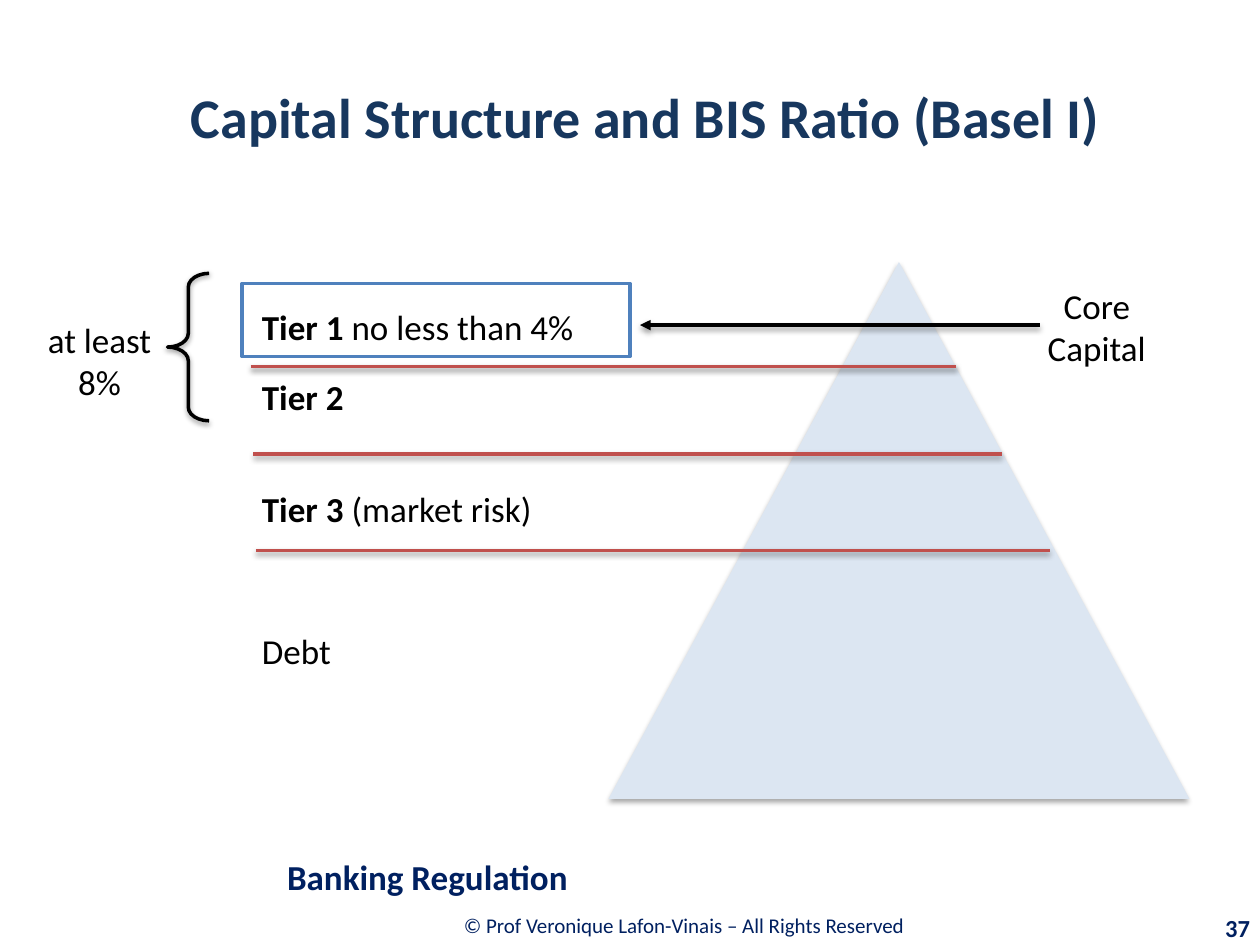
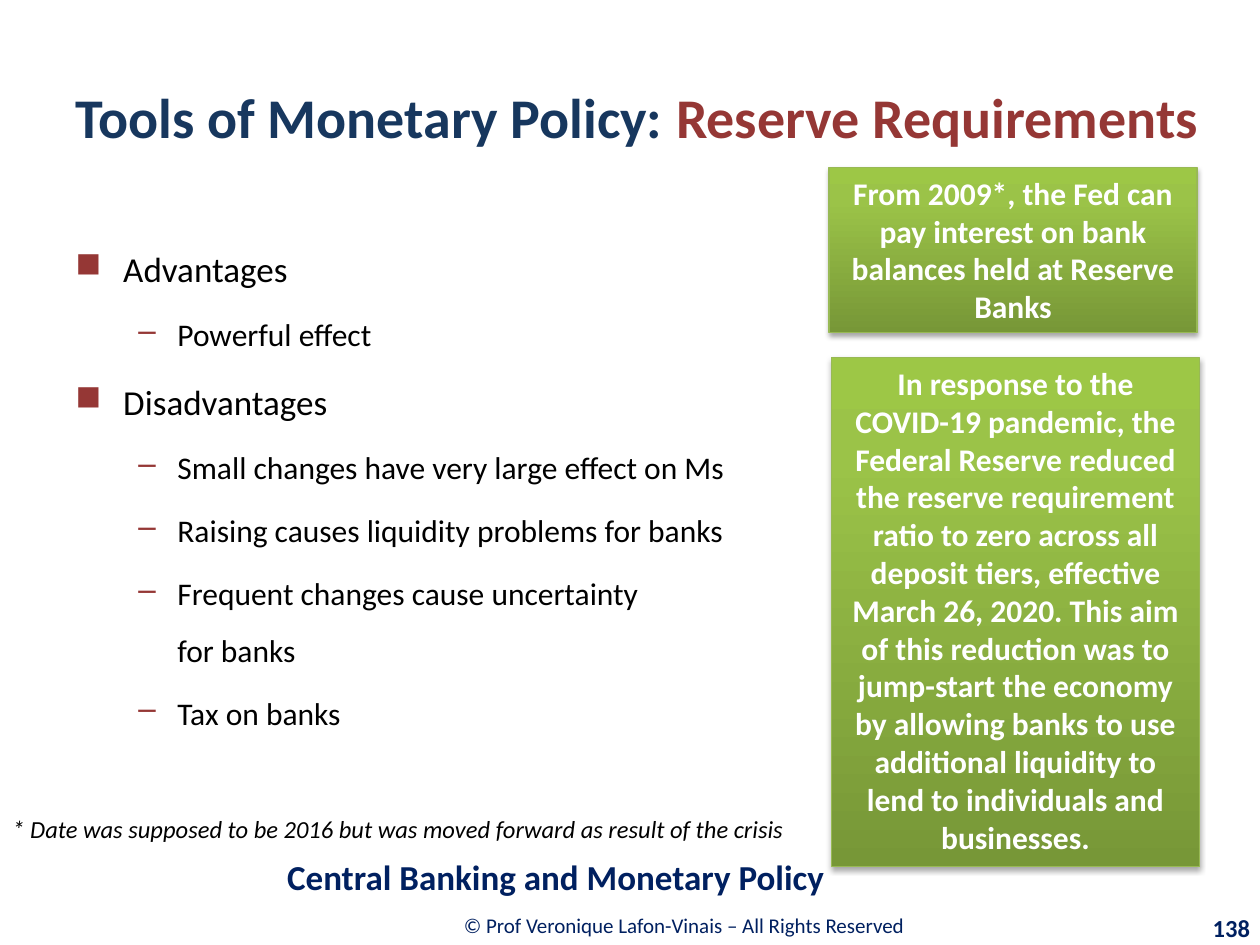
from dataclasses import dataclass
from typing import Optional

from lxml.etree import SubElement
from pptx import Presentation
from pptx.dml.color import RGBColor
from pptx.enum.shapes import MSO_CONNECTOR, MSO_SHAPE
from pptx.enum.text import MSO_ANCHOR, MSO_AUTO_SIZE, PP_ALIGN
from pptx.oxml.ns import qn
from pptx.util import Emu, Inches, Pt


@dataclass(frozen=True)
class Theme:
    font: str = "Calibri"
    title: str = "17375E"
    accent: str = "953735"
    footer: str = "002060"
    ink: str = "000000"
    white: str = "FFFFFF"
    pyramid: str = "DCE6F2"
    divider: str = "C0504D"
    frame: str = "4F81BD"
    callout_line: str = "98B955"
    callout_stops: tuple = ((0, "779737"), (80, "9BC348"), (100, "9DC746"))
    title_size: float = 32
    body_size: float = 20
    detail_size: float = 18
    note_size: float = 14
    copyright_size: float = 12
    line_width: float = 2
    thin_line: float = 0.75


THEME = Theme()

# Grid of 40 columns by 30 rows
WIDTH, HEIGHT = Inches(10), Inches(7.5)
COLUMN, ROW = WIDTH / 40, HEIGHT / 30


@dataclass(frozen=True)
class Box:
    column: float
    row: float
    columns: float
    rows: float

    def lengths(self) -> tuple:
        return (Emu(round(self.column * COLUMN)), Emu(round(self.row * ROW)),
                Emu(round(self.columns * COLUMN)), Emu(round(self.rows * ROW)))


@dataclass(frozen=True)
class Piece:
    text: str
    size: float = THEME.body_size
    color: str = THEME.ink
    bold: bool = False
    italic: bool = False


@dataclass(frozen=True)
class Bullet:
    mark: str
    margin: float
    indent: float
    level: int = 0


@dataclass(frozen=True)
class Line:
    pieces: tuple
    align: PP_ALIGN = PP_ALIGN.LEFT
    spacing: float = 1.0
    before: float = 0
    bullet: Optional[Bullet] = None


PLAIN = Bullet("", 0.38, 0.02)
SQUARE = Bullet("■", 0.38, -0.38)
DASH = Bullet("–", 0.81, -0.31, 1)


def rgb(color: str) -> RGBColor:
    return RGBColor.from_string(color)


# Text
def format_run(run, piece: Piece) -> None:
    font = run.font
    font.name, font.size = THEME.font, Pt(piece.size)
    font.bold, font.italic = piece.bold, piece.italic
    font.color.rgb = rgb(piece.color)


def set_bullet(paragraph, bullet: Bullet) -> None:
    paragraph.level = bullet.level
    properties = paragraph._p.get_or_add_pPr()
    properties.set("marL", str(Inches(bullet.margin)))
    properties.set("indent", str(Inches(bullet.indent)))
    if bullet.mark:
        color = SubElement(properties, qn("a:buClr"))
        SubElement(color, qn("a:srgbClr"), val=THEME.accent)
        SubElement(properties, qn("a:buChar"), char=bullet.mark)
    else:
        SubElement(properties, qn("a:buNone"))


def write(shape, lines: list, anchor=MSO_ANCHOR.TOP, wrap: bool = True) -> None:
    frame = shape.text_frame
    frame.word_wrap, frame.vertical_anchor = wrap, anchor
    frame.auto_size = MSO_AUTO_SIZE.NONE
    for index, line in enumerate(lines):
        paragraph = frame.add_paragraph() if index else frame.paragraphs[0]
        if line.bullet:
            set_bullet(paragraph, line.bullet)
        paragraph.alignment = line.align
        paragraph.line_spacing = line.spacing
        paragraph.space_before = Pt(line.before if index else 0)
        first, *others = line.pieces
        paragraph.text = first.text
        for run in paragraph.runs:
            format_run(run, first)
        for piece in others:
            run = paragraph.add_run()
            run.text = piece.text
            format_run(run, piece)


def add_text(slide, box: Box, lines: list, anchor=MSO_ANCHOR.TOP):
    shape = slide.shapes.add_textbox(*box.lengths())
    write(shape, lines, anchor)
    return shape


# Shapes and lines
def add_shadow(shape, opacity: int, distance: float) -> None:
    effects = SubElement(shape._element.spPr, qn("a:effectLst"))
    shadow = SubElement(effects, qn("a:outerShdw"), blurRad=str(Pt(3.1)),
                        dist=str(Pt(distance)), dir="5400000", rotWithShape="0")
    color = SubElement(shadow, qn("a:srgbClr"), val=THEME.ink)
    SubElement(color, qn("a:alpha"), val=str(opacity * 1000))


def add_shape(slide, kind, box: Box, fill: Optional[str] = None,
              line: Optional[str] = None, width: float = THEME.line_width):
    shape = slide.shapes.add_shape(kind, *box.lengths())
    shape.shadow.inherit = False
    if fill:
        shape.fill.solid()
        shape.fill.fore_color.rgb = rgb(fill)
    else:
        shape.fill.background()
    if line:
        shape.line.color.rgb = rgb(line)
        shape.line.width = Pt(width)
    else:
        shape.line.fill.background()
    return shape


def replace_shadow(shape, opacity: int, distance: float) -> None:
    properties = shape._element.spPr
    properties.remove(properties.find(qn("a:effectLst")))
    add_shadow(shape, opacity, distance)


def add_line(slide, start: tuple, end: tuple, color: str, arrow: bool = False) -> None:
    begin_x, end_x = (Emu(round(point[0] * COLUMN)) for point in (start, end))
    begin_y, end_y = (Emu(round(point[1] * ROW)) for point in (start, end))
    connector = slide.shapes.add_connector(MSO_CONNECTOR.STRAIGHT, begin_x, begin_y, end_x, end_y)
    connector.line.color.rgb = rgb(color)
    connector.line.width = Pt(THEME.line_width)
    if arrow:
        SubElement(connector.line._get_or_add_ln(), qn("a:tailEnd"), type="triangle")
    add_shadow(connector, 38, 1.6)


def add_callout(slide, box: Box, text: str) -> None:
    shape = add_shape(slide, MSO_SHAPE.RECTANGLE, box, line=THEME.callout_line,
                      width=THEME.thin_line)
    shape.fill.gradient()
    shape.fill.gradient_angle = 90
    stops = shape._element.spPr.find(qn("a:gradFill")).find(qn("a:gsLst"))
    for stop in list(stops):
        stops.remove(stop)
    for position, color in THEME.callout_stops:
        stop = SubElement(stops, qn("a:gs"), pos=str(position * 1000))
        SubElement(stop, qn("a:srgbClr"), val=color)
    replace_shadow(shape, 35, 1.8)
    write(shape, [Line((Piece(text, THEME.detail_size, THEME.white, True),), PP_ALIGN.CENTER)])


# Shared title and footers
def start_slide(presentation, title: tuple, title_box: Box, align, section: str, number: str):
    slide = presentation.slides.add_slide(presentation.slide_layouts[5])
    heading = slide.shapes.title
    heading.left, heading.top, heading.width, heading.height = title_box.lengths()
    pieces = tuple(Piece(text, THEME.title_size, color, True) for text, color in title)
    write(heading, [Line(pieces, align)], MSO_ANCHOR.MIDDLE)
    footers = (
        (Box(8.76, 28.6, 25.92, 1.56), PP_ALIGN.CENTER,
         Piece("© Prof Veronique Lafon-Vinais – All Rights Reserved",
               THEME.copyright_size, THEME.footer)),
        (Box(36.04, 28.8, 4.04, 1.28), PP_ALIGN.RIGHT,
         Piece(number, THEME.note_size, THEME.footer, True)),
        (Box(8.72, 26.88, 31.28, 1.88), PP_ALIGN.LEFT,
         Piece(section, THEME.body_size, THEME.footer, True)),
    )
    for box, alignment, piece in footers:
        add_text(slide, box, [Line((piece,), alignment)], MSO_ANCHOR.MIDDLE)
    return slide


def build_capital_structure(presentation) -> None:
    slide = start_slide(presentation, (("Capital Structure and BIS Ratio (Basel I)", THEME.title),),
                        Box(2, 1.2, 37, 5), PP_ALIGN.CENTER, "Banking Regulation", "37")

    # Pyramid and the lines between its tiers
    pyramid = add_shape(slide, MSO_SHAPE.ISOSCELES_TRIANGLE, Box(19.32, 8.32, 18.44, 17.04),
                        THEME.pyramid)
    replace_shadow(pyramid, 35, 1.8)
    for left, right, row in ((7.96, 30.36, 11.64), (8.04, 31.8, 14.42), (8.12, 33.32, 17.48)):
        add_line(slide, (left, row), (right, row), THEME.divider)

    # Tier names; the wide space before the last one sets debt apart
    tiers = (
        ("Tier 1 ", "no less than 4%", 1.5, 0),
        ("Tier 2", "", 1.5, 4),
        ("Tier 3 ", "(market risk)", 2.5, 4),
        ("", "Debt", 1.5, 45),
    )
    lines = []
    for name, remark, spacing, before in tiers:
        pieces = (Piece(name, bold=True), Piece(remark))
        shown = tuple(piece for piece in pieces if piece.text)
        lines.append(Line(shown, spacing=spacing, before=before, bullet=PLAIN))
    add_text(slide, Box(6.32, 8.84, 32.84, 18), lines)

    # Core capital
    core = add_shape(slide, MSO_SHAPE.OVAL, Box(31.32, 8, 7, 4.76))
    write(core, [Line((Piece(word),), PP_ALIGN.CENTER) for word in ("Core", "Capital")],
          MSO_ANCHOR.MIDDLE, wrap=False)
    add_line(slide, (33, 10.32), (20.32, 10.32), THEME.ink, arrow=True)
    add_shape(slide, MSO_SHAPE.RECTANGLE, Box(7.68, 9, 12.32, 2.32), line=THEME.frame)

    # Minimum ratio
    add_text(slide, Box(1, 9.92, 4.32, 3.08), [Line((Piece("at least 8%"),), PP_ALIGN.CENTER)])
    brace = add_shape(slide, MSO_SHAPE.LEFT_BRACE, Box(5.32, 8.68, 1.32, 4.68), line=THEME.ink)
    brace.adjustments[0] = 0.33
    replace_shadow(brace, 38, 1.6)


def build_reserve_requirements(presentation) -> None:
    title = (("Tools of Monetary Policy: ", THEME.title), ("Reserve Requirements", THEME.accent))
    slide = start_slide(presentation, title, Box(2, 1.2, 38, 5), PP_ALIGN.LEFT,
                        "Central Banking and Monetary Policy", "138")

    # Advantages and disadvantages
    arguments = {
        "Advantages": ("Powerful effect",),
        "Disadvantages": (
            "Small changes have very large effect on Ms",
            "Raising causes liquidity problems for banks",
            "Frequent changes cause uncertainty\vfor banks",
            "Tax on banks",
        ),
    }
    lines = []
    for heading, details in arguments.items():
        lines.append(Line((Piece(heading),), spacing=1.5, before=4, bullet=SQUARE))
        lines += [Line((Piece(detail, THEME.detail_size),), spacing=1.5, before=3.6, bullet=DASH)
                  for detail in details]
    add_text(slide, Box(2, 7, 36, 19.8), lines)

    # Callouts and footnote
    add_callout(slide, Box(26.32, 5.32, 11.68, 5.24),
                "From 2009*, the Fed can pay interest on bank balances held at Reserve Banks")
    add_callout(slide, Box(26.4, 11.36, 11.68, 16.16),
                "In response to the COVID-19 pandemic, the Federal Reserve reduced the reserve "
                "requirement ratio to zero across all deposit tiers, effective March 26, 2020. "
                "This aim of this reduction was to jump-start the economy by allowing banks to "
                "use additional liquidity to lend to individuals and businesses.")
    note = "* Date was supposed to be 2016 but was moved forward as result of the crisis"
    add_text(slide, Box(0, 25.64, 25.92, 1.36),
             [Line((Piece(note, THEME.note_size, italic=True),))])


def main() -> None:
    presentation = Presentation()
    presentation.slide_width, presentation.slide_height = WIDTH, HEIGHT
    build_capital_structure(presentation)
    build_reserve_requirements(presentation)
    presentation.save("out.pptx")


if __name__ == "__main__":
    main()
